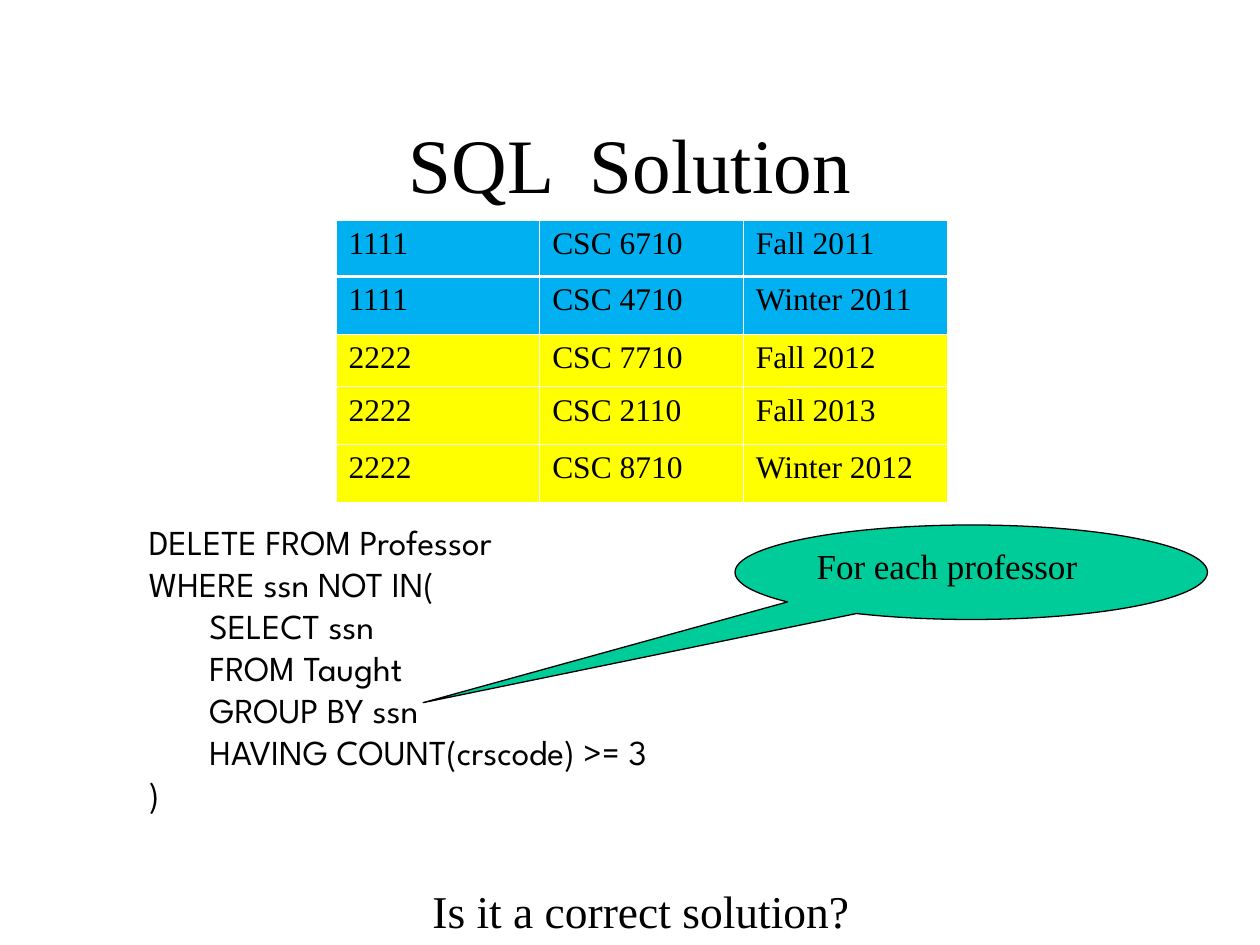
from lxml import etree
from pptx import Presentation
from pptx.dml.color import RGBColor
from pptx.enum import shapes, text
from pptx.oxml import ns
from pptx.util import Pt

BLACK = RGBColor(0x00, 0x00, 0x00)
WHITE = RGBColor(0xFF, 0xFF, 0xFF)
BLUE = RGBColor(0x00, 0xB0, 0xF0)
YELLOW = RGBColor(0xFF, 0xFF, 0x00)
GREEN = RGBColor(0x00, 0xCC, 0x99)

SERIF = "Times New Roman"
SANS = "League Spartan"

THIN, THICK = 0.45, 1.47  # table rules, in points
ROW_HEIGHTS = [32, 33, 30, 33, 33]
COURSES = [
    ("1111", "CSC 6710", "Fall 2011"),
    ("1111", "CSC 4710", "Winter 2011"),
    ("2222", "CSC 7710", "Fall 2012"),
    ("2222", "CSC 2110", "Fall 2013"),
    ("2222", "CSC 8710", "Winter 2012"),
]
PROFESSOR_COLORS = {"1111": BLUE, "2222": YELLOW}

QUERY = """DELETE FROM Professor
WHERE ssn NOT IN(
       SELECT ssn
       FROM Taught
       GROUP BY ssn
       HAVING COUNT(crscode) >= 3
)"""


def write(frame, content, size, font=SERIF, align=text.PP_ALIGN.LEFT):
    frame.text = content
    for paragraph in frame.paragraphs:
        paragraph.alignment = align
        paragraph.font.name = font
        paragraph.font.size = Pt(size)
        paragraph.font.color.rgb = BLACK


def add_title(slide, left, top, width, height):
    title = slide.shapes.title
    title.left, title.top = Pt(left), Pt(top)
    title.width, title.height = Pt(width), Pt(height)
    frame = title.text_frame
    frame.auto_size = text.MSO_AUTO_SIZE.NONE
    frame.vertical_anchor = text.MSO_ANCHOR.MIDDLE
    write(frame, "SQL  Solution", 44, align=text.PP_ALIGN.CENTER)


def add_text(slide, content, size, font, left, top, width, height):
    box = slide.shapes.add_textbox(Pt(left), Pt(top), Pt(width), Pt(height))
    box.text_frame.word_wrap = True
    write(box.text_frame, content, size, font)


def set_borders(cell, top, bottom):
    properties = cell._tc.get_or_add_tcPr()
    for side, width in (("L", THIN), ("R", THIN), ("T", top), ("B", bottom)):
        line = etree.SubElement(properties, ns.qn(f"a:ln{side}"), w=str(Pt(width)))
        fill = etree.SubElement(line, ns.qn("a:solidFill"))
        etree.SubElement(fill, ns.qn("a:srgbClr"), val=str(WHITE))


def add_course_table(slide, left, top, width):
    columns = len(COURSES[0])
    table = slide.shapes.add_table(len(COURSES), columns, Pt(left), Pt(top),
                                   Pt(width), Pt(sum(ROW_HEIGHTS))).table
    table.first_row = table.horz_banding = False
    for column in table.columns:
        column.width = Pt(width / columns)
    for index, (course, height) in enumerate(zip(COURSES, ROW_HEIGHTS)):
        table.rows[index].height = Pt(height)
        for cell, value in zip(table.rows[index].cells, course):
            # The rule below the first row is heavier
            set_borders(cell, top=THICK if index == 1 else THIN,
                        bottom=THICK if index == 0 else THIN)
            cell.fill.solid()
            cell.fill.fore_color.rgb = PROFESSOR_COLORS[course[0]]
            write(cell.text_frame, value, 18)


def add_callout(slide, left, top, width, height):
    callout = slide.shapes.add_shape(shapes.MSO_SHAPE.OVAL_CALLOUT,
                                     Pt(left), Pt(top), Pt(width), Pt(height))
    callout.shadow.inherit = False
    # Tip of the tail, as shares of the size from the centre
    callout.adjustments[0] = -1.16
    callout.adjustments[1] = 1.38
    callout.fill.solid()
    callout.fill.fore_color.rgb = GREEN
    callout.line.color.rgb = BLACK
    callout.line.width = Pt(0.75)
    callout.text_frame.vertical_anchor = text.MSO_ANCHOR.TOP
    write(callout.text_frame, "For each professor", 20)


def main():
    presentation = Presentation()
    presentation.slide_width, presentation.slide_height = Pt(720), Pt(540)
    slide = presentation.slides.add_slide(presentation.slide_layouts[5])

    add_title(slide, 54, 48, 612, 90)
    # SQL query with its explanation
    add_text(slide, QUERY, 20, SANS, 78, 294, 594, 176)
    add_callout(slide, 420, 300, 270, 54)
    # Closing question
    add_text(slide, "Is it a correct solution?", 26, SERIF, 240, 501, 414, 39)
    add_course_table(slide, 192, 126, 349.2)

    presentation.save("out.pptx")


if __name__ == "__main__":
    main()
